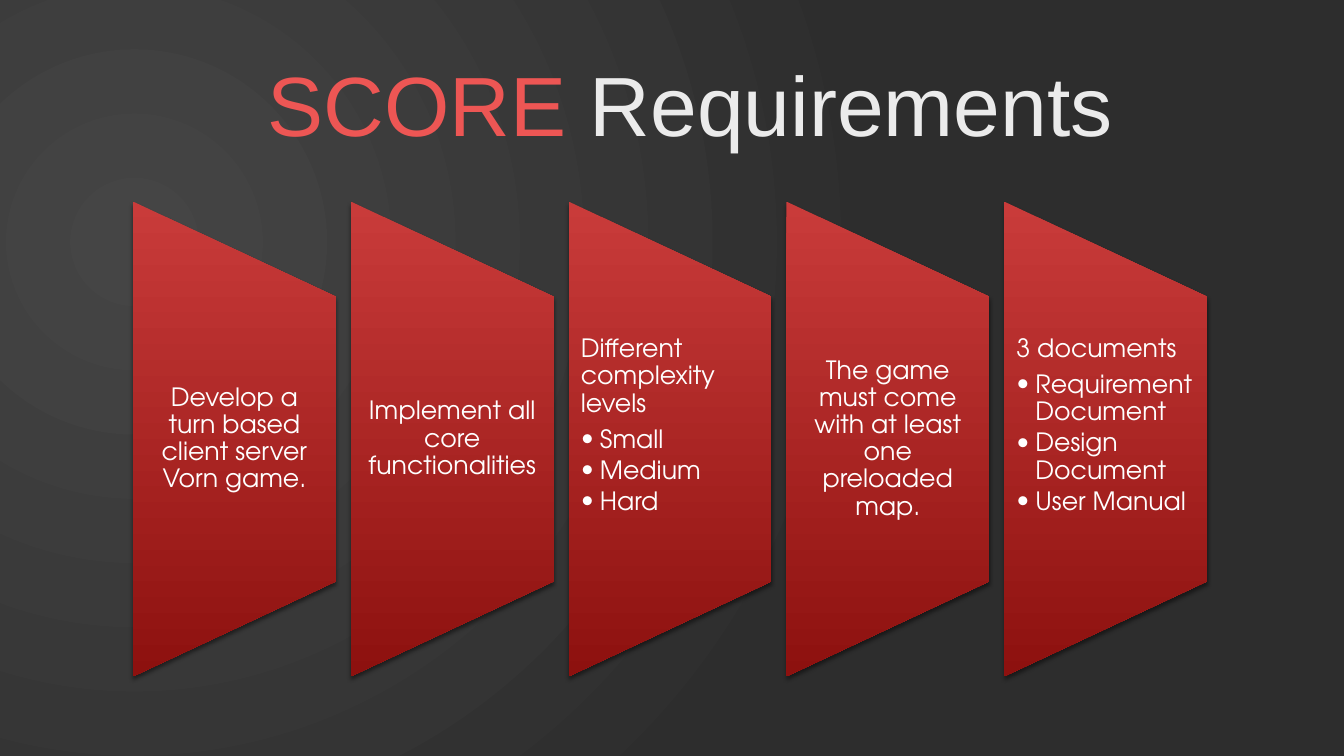
import pptx
import pptx.util
import pptx.dml.color
import pptx.enum.shapes
import pptx.enum.text
import pptx.oxml
import pptx.oxml.ns

Inches, Pt = pptx.util.Inches, pptx.util.Pt
ALIGN, ANCHOR = pptx.enum.text.PP_ALIGN, pptx.enum.text.MSO_ANCHOR
NS = pptx.oxml.ns.nsdecls("a", "p")

COLORS = {
    "glow": "454545", "backdrop": "2D2D2D",
    "accent": "ED5654", "title": "EBEBEB",
    "panel_top": "C93B3A", "panel_bottom": "8D110F",
    "text": "FFFFFF", "shadow": "000000",
}
TITLE_FONT, BODY_FONT = "Arial", "TeX Gyre Adventor"
BODY_SIZE = 18

# Panel grid
LEFT, TOP, PITCH = 1.32, 2.0, 2.16
PANEL_WIDTH, PANEL_HEIGHT = 2.01, 4.71
TEXT_SHARE = 0.6      # share of the panel height that holds text
LIST_DROP = 0.39      # room above a heading with bullets
BULLET_INDENT = 0.19

REQUIREMENTS = [
    ("Develop a turn based client server Vorn game.", []),
    ("Implement all core functionalities", []),
    ("Different complexity levels", ["Small", "Medium", "Hard"]),
    ("The game must come with at least one preloaded map.", []),
    ("3 documents", ["Requirement Document", "Design Document", "User Manual"]),
]


def rgb(name):
    return pptx.dml.color.RGBColor.from_string(COLORS[name])


def gradient_xml(start, end, direction):
    return (f'<a:gradFill {NS} rotWithShape="0"><a:gsLst>'
            f'<a:gs pos="0"><a:srgbClr val="{COLORS[start]}"/></a:gs>'
            f'<a:gs pos="100000"><a:srgbClr val="{COLORS[end]}"/></a:gs>'
            f'</a:gsLst>{direction}</a:gradFill>')


def paint_background(slide):
    glow = gradient_xml(
        "glow", "backdrop",
        '<a:path path="circle"><a:fillToRect l="45000" t="65000" r="125000" b="100000"/></a:path>')
    background = pptx.oxml.parse_xml(
        f'<p:bg {NS}><p:bgPr>{glow}<a:effectLst/></p:bgPr></p:bg>')
    slide.element.cSld.insert(0, background)


def add_title(slide, left, top, width, height):
    box = slide.shapes.add_textbox(Inches(left), Inches(top), Inches(width), Inches(height))
    box.text_frame.word_wrap = True
    heading = box.text_frame.paragraphs[0]
    heading.alignment = ALIGN.CENTER
    heading.font.size, heading.font.name = Pt(60), TITLE_FONT
    for words, color in (("SCORE", "accent"), (" Requirements", "title")):
        run = heading.add_run()
        run.text = words
        run.font.color.rgb = rgb(color)


def add_panel_shape(slide, left, top, width, height):
    """Place a trapezoid turned on its side so that it fills the upright box."""
    panel = slide.shapes.add_shape(
        pptx.enum.shapes.MSO_SHAPE.FLOWCHART_MANUAL_OPERATION,
        Inches(left + (width - height) / 2), Inches(top + (height - width) / 2),
        Inches(height), Inches(width))
    panel.rotation = 270
    panel.line.fill.background()
    properties = panel.element.spPr
    fill = gradient_xml("panel_top", "panel_bottom", '<a:lin ang="5400000" scaled="0"/>')
    properties.insert(2, pptx.oxml.parse_xml(fill))
    properties.append(pptx.oxml.parse_xml(
        f'<a:effectLst {NS}><a:outerShdw blurRad="{Pt(3)}" dist="{Pt(2)}" dir="5400000" '
        f'rotWithShape="0"><a:srgbClr val="{COLORS["shadow"]}"><a:alpha val="45000"/>'
        '</a:srgbClr></a:outerShdw></a:effectLst>'))


def style_body(paragraph, space_share):
    paragraph.line_spacing = 0.9
    paragraph.space_after = Pt(space_share * BODY_SIZE)
    paragraph.font.size, paragraph.font.name = Pt(BODY_SIZE), BODY_FONT
    paragraph.font.color.rgb = rgb("text")


def add_bullet(frame, item):
    paragraph = frame.add_paragraph()
    paragraph.text, paragraph.level = item, 1
    style_body(paragraph, 0.15)
    properties = paragraph._p.get_or_add_pPr()
    properties.set("marL", str(Inches(BULLET_INDENT)))
    properties.set("indent", str(-Inches(BULLET_INDENT)))
    for tag in (f'buFont {NS} typeface="{BODY_FONT}"', f'buChar {NS} char="•"'):
        bullet = pptx.oxml.parse_xml(f'<a:{tag}/>')
        properties.insert_element_before(bullet, "a:tabLst", "a:defRPr", "a:extLst")


def add_requirement(slide, left, top, width, height, heading, items):
    add_panel_shape(slide, left, top, width, height)
    text_height = height * TEXT_SHARE
    box = slide.shapes.add_textbox(
        Inches(left), Inches(top + (height - text_height) / 2),
        Inches(width), Inches(text_height))
    frame = box.text_frame
    frame.word_wrap = True
    frame.margin_left = frame.margin_right = Inches(0.12)
    frame.margin_top = Inches(LIST_DROP if items else 0)
    frame.margin_bottom = 0
    frame.vertical_anchor = ANCHOR.TOP if items else ANCHOR.MIDDLE
    lead = frame.paragraphs[0]
    lead.text = heading
    lead.alignment = ALIGN.LEFT if items else ALIGN.CENTER
    style_body(lead, 0.35)
    for item in items:
        add_bullet(frame, item)


def main():
    deck = pptx.Presentation()
    deck.slide_width, deck.slide_height = Inches(13.33), Inches(7.5)
    slide = deck.slides.add_slide(deck.slide_layouts[6])
    paint_background(slide)
    add_title(slide, 1.7, 0.47, 10.29, 1.53)
    for column, (heading, items) in enumerate(REQUIREMENTS):
        add_requirement(slide, LEFT + column * PITCH, TOP, PANEL_WIDTH, PANEL_HEIGHT,
                        heading, items)
    deck.save("out.pptx")


if __name__ == "__main__":
    main()
